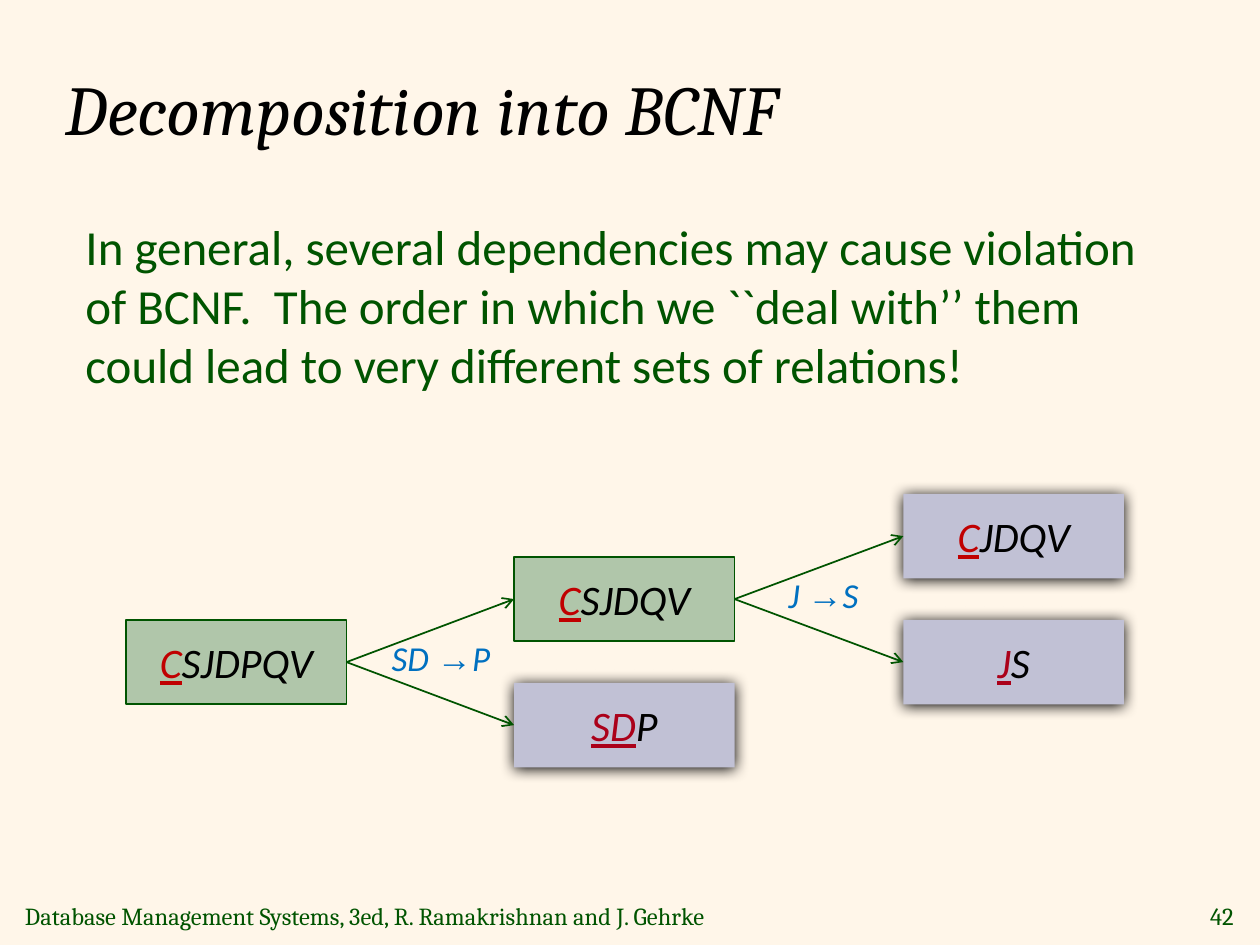
from lxml import etree
from pptx import Presentation
from pptx.dml.color import RGBColor
from pptx.enum.shapes import MSO_CONNECTOR, MSO_SHAPE
from pptx.enum.text import MSO_ANCHOR, PP_ALIGN
from pptx.oxml.ns import qn
from pptx.util import Inches, Pt

RECT = MSO_SHAPE.RECTANGLE
STRAIGHT = MSO_CONNECTOR.STRAIGHT
TOP, MIDDLE = MSO_ANCHOR.TOP, MSO_ANCHOR.MIDDLE
LEFT, CENTER, RIGHT = PP_ALIGN.LEFT, PP_ALIGN.CENTER, PP_ALIGN.RIGHT

CREAM, GREEN, BLACK = "FFF6E9", "005400", "000000"
SAGE, LILAC = "B0C6AA", "C1C1D5"
RED, WINE, BLUE = "C00000", "AB011A", "0070C0"
SERIF, SANS, ARROW = "Cambria", "Calibri", "Times New Roman"

BOX_W, BOX_H = 1.75, 0.67
COLS = (1, 4.08, 7.17)
ROW, STEP = 3.92, 0.5
LEFT_SITE, RIGHT_SITE = 1, 3


def color(text):
    return RGBColor.from_string(text)


def add_run(para, text, size, font, hue, italic=False, under=False):
    run = para.add_run()
    run.text = text
    run.font.size = Pt(size)
    run.font.name = font
    run.font.color.rgb = color(hue)
    run.font.italic = italic
    run.font.underline = under


def add_text(slide, at, runs, align=LEFT, anchor=MIDDLE, wrap=True):
    """Place a text box and return its paragraph."""
    box = slide.shapes.add_textbox(*map(Inches, at))
    frame = box.text_frame
    frame.word_wrap = wrap
    frame.vertical_anchor = anchor
    para = frame.paragraphs[0]
    para.alignment = align
    for run in runs:
        add_run(para, *run)
    return para


def add_shadow(shape):
    effects = shape._element.spPr.find(qn("a:effectLst"))
    outer = etree.SubElement(
        effects, qn("a:outerShdw"), blurRad=str(Pt(8.5)), dist=str(Pt(1)),
        dir="5400000", algn="ctr", rotWithShape="0")
    etree.SubElement(outer, qn("a:srgbClr"), val=BLACK)


def add_box(slide, col, row, key, rest, hue=RED, final=False):
    """Draw a relation with its key underlined; final ones cast a shadow."""
    box = slide.shapes.add_shape(
        RECT, Inches(COLS[col]), Inches(ROW + row * STEP),
        Inches(BOX_W), Inches(BOX_H))
    box.shadow.inherit = False
    box.fill.solid()
    box.fill.fore_color.rgb = color(LILAC if final else SAGE)
    if final:
        box.line.fill.background()
        add_shadow(box)
    else:
        box.line.color.rgb = color(GREEN)
        box.line.width = Pt(1)
    box.text_frame.vertical_anchor = MIDDLE
    para = box.text_frame.paragraphs[0]
    para.alignment = CENTER
    add_run(para, key, 24, SANS, hue, True, True)
    add_run(para, rest, 24, SANS, BLACK, True)
    return box


def add_arrow(slide, start, end):
    line = slide.shapes.add_connector(STRAIGHT, 0, 0, 0, 0)
    line.begin_connect(start, RIGHT_SITE)
    line.end_connect(end, LEFT_SITE)
    line.line.color.rgb = color(GREEN)
    line.line.width = Pt(1)
    etree.SubElement(line.line._get_or_add_ln(), qn("a:tailEnd"), type="arrow")
    etree.SubElement(line._element.spPr, qn("a:effectLst"))


def add_rule(slide, at, left, right):
    """Label a split with its functional dependency."""
    parts = ((left + " ", SANS), ("→", ARROW), (right, SANS))
    runs = [(text, 20, font, BLUE, True) for text, font in parts]
    add_text(slide, at, runs, anchor=TOP, wrap=False)


def main():
    prs = Presentation()
    prs.slide_width, prs.slide_height = Inches(10), Inches(7.5)
    slide = prs.slides.add_slide(prs.slide_layouts[6])
    slide.background.fill.solid()
    slide.background.fill.fore_color.rgb = color(CREAM)

    # Footer
    credit = "Database Management Systems, 3ed, R. Ramakrishnan and J. Gehrke"
    add_text(slide, (0.1, 7.1, 6.13, 0.33),
             [(credit, 14, SERIF, GREEN)], wrap=False)
    add_text(slide, (9.45, 7.1, 0.44, 0.33),
             [("42", 14, SERIF, GREEN)], RIGHT, wrap=False)

    # Title and body
    add_text(slide, (0.42, 0.25, 8.5, 1.21),
             [("Decomposition into BCNF", 40, SERIF, BLACK, True)])
    body = ("In general, several dependencies may cause violation of BCNF.  "
            "The order in which we ``deal with’’ them could lead to very "
            "different sets of relations!")
    para = add_text(slide, (0.58, 1.67, 8.92, 1.58),
                    [(body, 28, SANS, GREEN)], anchor=TOP)
    para.space_before = Pt(5.6)

    # Decomposition tree
    root = add_box(slide, 0, 2, "C", "SJDPQV")
    js = add_box(slide, 2, 2, "J", "S", WINE, True)
    sdp = add_box(slide, 1, 3, "SD", "P", WINE, True)
    mid = add_box(slide, 1, 1, "C", "SJDQV")
    top = add_box(slide, 2, 0, "C", "JDQV", final=True)
    for start, end in ((root, mid), (root, sdp), (mid, top), (mid, js)):
        add_arrow(slide, start, end)

    # Dependencies that force each split
    add_rule(slide, (3.01, 5, 0.99, 0.44), "SD", "P")
    add_rule(slide, (6.16, 4.5, 0.76, 0.44), "J", "S")

    prs.save("out.pptx")


if __name__ == "__main__":
    main()
